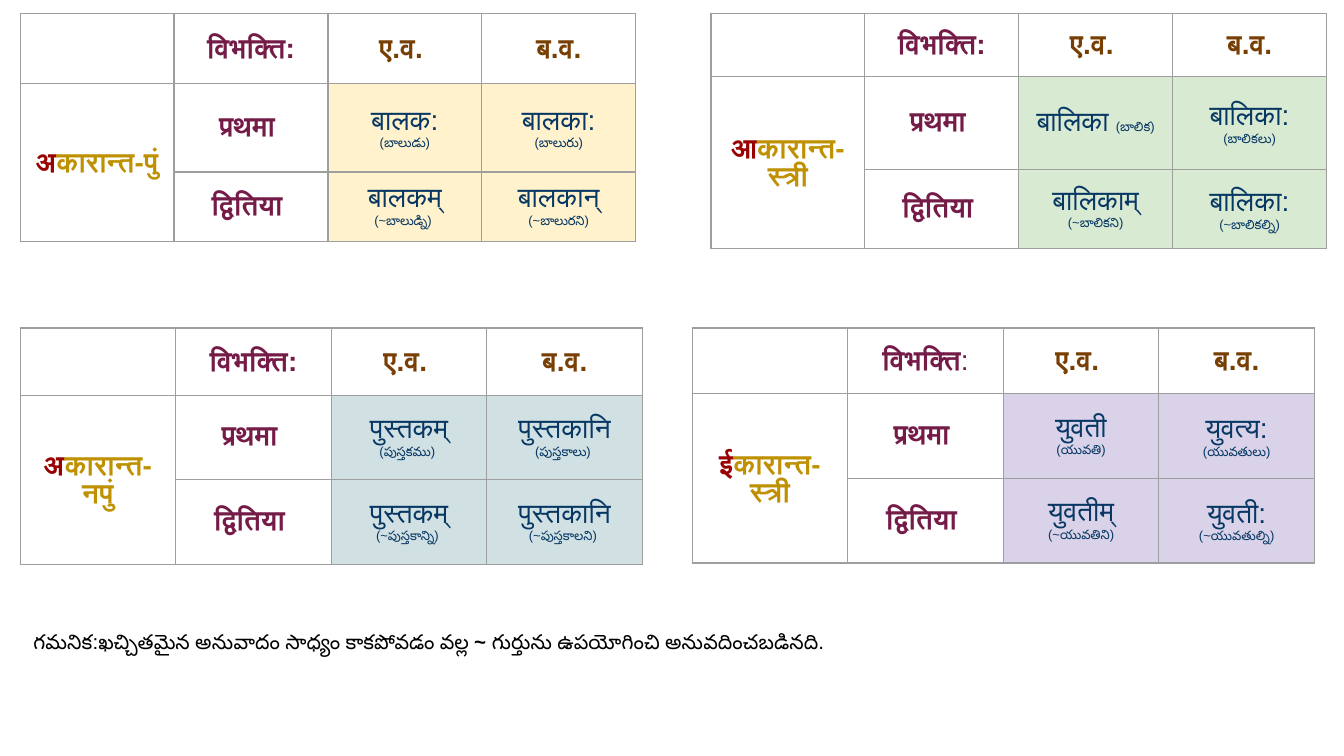
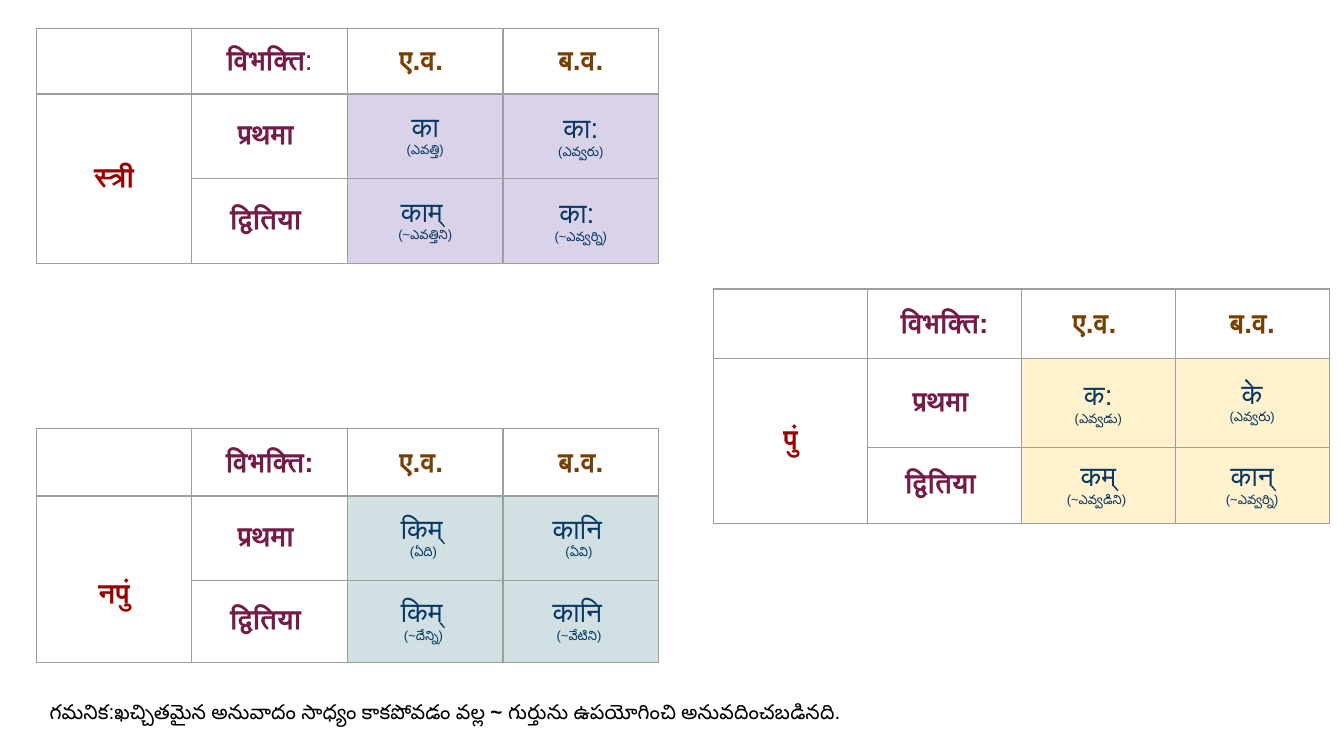
from pptx import Presentation
from pptx.dml.color import RGBColor
from pptx.enum.text import MSO_ANCHOR, MSO_AUTO_SIZE, PP_ALIGN
from pptx.oxml import parse_xml
from pptx.oxml.ns import nsdecls
from pptx.util import Inches, Pt

CENTER = PP_ALIGN.CENTER
MIDDLE = MSO_ANCHOR.MIDDLE
FIT_SHAPE = MSO_AUTO_SIZE.SHAPE_TO_FIT_TEXT

THEME = {
    "font": "Arial",
    "border": "9E9E9E", "border_width": Pt(0.75),
    "inset": 0.1, "line": 0.24,
    "case": {"color": "741B47", "size": Pt(15), "bold": True},
    "case_plain": {"color": "741B47", "size": Pt(15), "bold": False},
    "number": {"color": "783F04", "size": Pt(15), "bold": True},
    "ending": {"color": "990000", "size": Pt(15), "bold": True},
    "stem": {"color": "BF9000", "size": Pt(15), "bold": True},
    "word": {"color": "073763", "size": Pt(15), "bold": False},
    "gloss": {"color": "073763", "size": Pt(7), "bold": False},
    "note": {"color": "000000", "size": Pt(11), "bold": False},
    "note_bold": {"color": "000000", "size": Pt(11), "bold": True},
}
YELLOW, GREEN, TEAL, LILAC = "FFF2CC", "D9EAD3", "D0E0E3", "D9D2E9"


def add_spans(para, spans):
    """Add (text, style name) pairs to a paragraph."""
    for text, style in spans:
        span = para.add_run()
        span.text = text
        format_values = dict(THEME[style], name=THEME["font"])
        span.font.color.rgb = RGBColor.from_string(format_values.pop("color"))
        for name, value in format_values.items():
            setattr(span.font, name, value)


def fill_cell(cell, lines, top=THEME["inset"]):
    """Write centred lines, each a list of spans, into a table cell."""
    cell.vertical_anchor = MIDDLE
    cell.margin_left = cell.margin_right = cell.margin_bottom = Inches(THEME["inset"])
    cell.margin_top = Inches(top)
    for index, spans in enumerate(lines):
        frame = cell.text_frame
        para = frame.add_paragraph() if index else frame.paragraphs[0]
        para.alignment = CENTER
        add_spans(para, spans)


# Each table: place, width, row heights, fill, label lines, forms by row.
# In a form, a line break starts a new paragraph and "(" starts the gloss.
PAGES = [
    {"note_at": (0.15, 4.59), "tables": [
        {"at": (0.15, 0.1), "width": 4.58, "rows": (0.52, 0.66, 0.41), "fill": YELLOW,
         "label": [[("अ", "ending"), ("कारान्त-पुं", "stem")]],
         "forms": [("बालक:\n(బాలుడు)", "बालका:\n(బాలురు)"),
                   ("बालकम्\n(~బాలుడ్ని) ", "बालकान्\n(~బాలురని)")]},
        {"at": (0.15, 2.44), "width": 4.63, "rows": (0.5, 0.63, 0.63), "fill": TEAL,
         "label": [[("अ", "ending"), ("कारान्त-", "stem")], [("नपुं", "stem")]],
         "forms": [("पुस्तकम् (పుస్తకము) ", "पुस्तकानि (పుస్తకాలు) "),
                   ("पुस्तकम्\n(~పుస్తకాన్ని) ", "पुस्तकानि\n(~పుస్తకాలని) ")]},
        {"at": (5.15, 2.44), "width": 4.63, "rows": (0.49, 0.63, 0.63), "fill": LILAC,
         "label": [[("ई", "ending"), ("कारान्त-स्त्री", "stem")]], "colon": "case_plain",
         "forms": [("युवती\n(యువతి)", "युवत्य:\n(యువతులు)"),
                   ("युवतीम् (~యువతిని)", "युवती: (~యువతుల్ని)")]},
        {"at": (5.29, 0.1), "width": 4.58, "rows": (0.47, 0.69, 0.59), "fill": GREEN,
         "label": [[("आ", "ending"), ("कारान्त-स्त्री", "stem")]],
         "forms": [("बालिका (బాలిక)", "बालिका:\n(బాలికలు)"),
                   ("बालिकाम् (~బాలికని)", "बालिका: (~బాలికల్ని)")]},
    ]},
    {"note_at": (0.27, 5.11), "tables": [
        {"at": (5.31, 2.15), "width": 4.58, "rows": (0.52, 0.66, 0.41), "fill": YELLOW,
         "label": [[("पुं", "ending")]],
         "forms": [("क:\n(ఎవ్వడు)", "के\n(ఎవ్వరు)"),
                   ("कम्\n(~ఎవ్వడిని) ", "कान्\n(~ఎవ్వర్ని)")]},
        {"at": (0.27, 0.21), "width": 4.63, "rows": (0.49, 0.63, 0.63), "fill": LILAC,
         "label": [[("स्त्री", "ending")]], "colon": "case_plain",
         "forms": [("का\n(ఎవత్తి)", "का:\n(ఎవ్వరు)"),
                   ("काम् \n(~ఎవత్తిని)", "का: \n(~ఎవ్వర్ని)")]},
        {"at": (0.27, 3.19), "width": 4.63, "rows": (0.5, 0.63, 0.61), "fill": TEAL,
         "label": [[("नपुं", "ending")]], "label_top": THEME["inset"] + THEME["line"],
         "forms": [("किम् \n(ఏది) ", "कानि \n(ఏవి) "),
                   ("किम् \n(~దేన్ని) ", "कानि \n(~వేటిని) ")]},
    ]},
]
CASES = ("प्रथमा ", "द्वितिया ")
NOTE = [("గమనిక:ఖచ్చితమైన అనువాదం సాధ్యం కాకపోవడం వల్ల ", "note"), ("~", "note_bold"),
        (" గుర్తును ఉపయోగించి అనువదించబడినది.", "note")]

# Widescreen page, 16:9
deck = Presentation()
deck.slide_width, deck.slide_height = Inches(10), Inches(10 * 9 / 16)

for content in PAGES:
    page = deck.slides.add_slide(deck.slide_layouts[6])

    for entry in content["tables"]:
        # Grid
        left, top = entry["at"]
        table = page.shapes.add_table(
            3, 4, Inches(left), Inches(top),
            Inches(entry["width"]), Inches(sum(entry["rows"]))).table
        table.first_row = table.horz_banding = False
        for row, height in zip(table.rows, entry["rows"]):
            row.height = Inches(height)

        # Borders and fills
        for row in range(3):
            for column in range(4):
                cell = table.cell(row, column)
                properties = cell._tc.get_or_add_tcPr()
                for side in "LRTB":
                    properties.append(parse_xml(
                        f'<a:ln{side} {nsdecls("a")} w="{THEME["border_width"]}"><a:solidFill>'
                        f'<a:srgbClr val="{THEME["border"]}"/></a:solidFill></a:ln{side}>'))
                if row > 0 and column > 1:
                    cell.fill.solid()
                    cell.fill.fore_color.rgb = RGBColor.from_string(entry["fill"])
                else:
                    cell.fill.background()

        # Headings and the label that spans both cases
        fill_cell(table.cell(0, 1),
                  [[("विभक्ति", "case"), (":", entry.get("colon", "case"))]])
        fill_cell(table.cell(0, 2), [[("ए.व. ", "number")]])
        fill_cell(table.cell(0, 3), [[("ब.व.", "number")]])
        table.cell(1, 0).merge(table.cell(2, 0))
        fill_cell(table.cell(1, 0), entry["label"], entry.get("label_top", THEME["inset"]))

        # Case names and word forms
        for row, (case, forms) in enumerate(zip(CASES, entry["forms"]), start=1):
            fill_cell(table.cell(row, 1), [[(case, "case")]])
            for column, form in enumerate(forms, start=2):
                lines = []
                for line in form.split("\n"):
                    word, bracket, gloss = line.partition("(")
                    spans = [(word, "word"), (bracket + gloss, "gloss")]
                    lines.append([span for span in spans if span[0]])
                fill_cell(table.cell(row, column), lines)

    # Translation note
    left, top = content["note_at"]
    box = page.shapes.add_textbox(Inches(left), Inches(top), Inches(7.21), Inches(0.39))
    frame = box.text_frame
    frame.word_wrap = True
    frame.auto_size = FIT_SHAPE
    for side in ("left", "right", "top", "bottom"):
        setattr(frame, f"margin_{side}", Inches(THEME["inset"]))
    add_spans(frame.paragraphs[0], NOTE)

deck.save("out.pptx")
